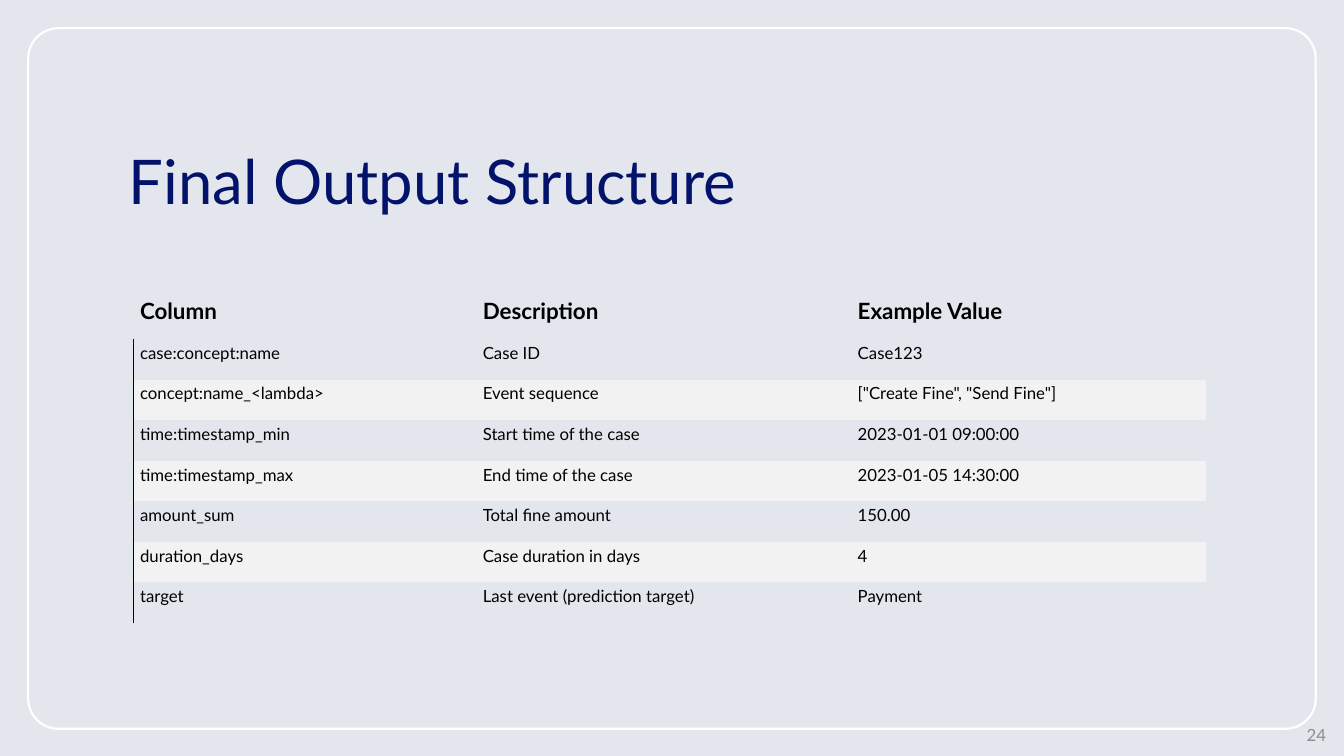
from lxml.etree import SubElement
from pptx import Presentation
from pptx.dml.color import RGBColor
from pptx.enum.shapes import MSO_SHAPE
from pptx.enum.text import MSO_ANCHOR, PP_ALIGN
from pptx.oxml.ns import qn
from pptx.util import Inches, Pt

COLORS = {
    "background": "E3E7ED",
    "frame": "FFFFFF",
    "title": "03126A",
    "number": "8C8C8C",
    "text": "000000",
    "band": "F2F2F2",
}
FONT = "Lato"
PLAIN_TABLE_STYLE = "{2D5ABB26-0587-4C30-8999-92F81FD0307C}"

HEADINGS = ("Column", "Description", "Example Value")
FIELDS = (
    ("case:concept:name", "Case ID", "Case123"),
    ("concept:name_<lambda>", "Event sequence", '["Create Fine", "Send Fine"]'),
    ("time:timestamp_min", "Start time of the case", "2023-01-01 09:00:00"),
    ("time:timestamp_max", "End time of the case", "2023-01-05 14:30:00"),
    ("amount_sum", "Total fine amount", "150.00"),
    ("duration_days", "Case duration in days", "4"),
    ("target", "Last event (prediction target)", "Payment"),
)


def color(name):
    return RGBColor.from_string(COLORS[name])


class SlideBuilder:
    """Draws on one slide; lengths are percentages of its width and height."""

    def __init__(self, presentation):
        self.width = presentation.slide_width
        self.height = presentation.slide_height
        self.slide = presentation.slides.add_slide(presentation.slide_layouts[6])
        fill = self.slide.background.fill
        fill.solid()
        fill.fore_color.rgb = color("background")

    def across(self, share):
        return round(self.width * share / 100)

    def down(self, share):
        return round(self.height * share / 100)

    def box(self, left, top, width, height):
        return self.across(left), self.down(top), self.across(width), self.down(height)

    def style(self, paragraph, size, color_name, bold=False):
        font = paragraph.font
        font.name, font.size, font.bold = FONT, Pt(size), bold
        font.color.rgb = color(color_name)

    def frame(self, *place):
        shape = self.slide.shapes.add_shape(MSO_SHAPE.ROUNDED_RECTANGLE, *self.box(*place))
        shape.adjustments[0] = 0.043
        shape.shadow.inherit = False
        shape.fill.background()
        shape.line.color.rgb = color("frame")
        shape.line.width = Pt(1.5)

    def text(self, words, place, size, color_name, anchor, align=PP_ALIGN.LEFT):
        text_frame = self.slide.shapes.add_textbox(*self.box(*place)).text_frame
        text_frame.word_wrap = True
        text_frame.vertical_anchor = anchor
        paragraph = text_frame.paragraphs[0]
        paragraph.text = words
        paragraph.alignment = align
        paragraph.line_spacing = 0.9
        self.style(paragraph, size, color_name)

    def table(self, left, top, column_widths, heading_height, row_height):
        row_heights = [heading_height] + [row_height] * len(FIELDS)
        place = self.box(left, top, sum(column_widths), sum(row_heights))
        table = self.slide.shapes.add_table(
            len(row_heights), len(column_widths), *place).table
        table.first_row = table.horz_banding = False
        table._tbl.tblPr.find(qn("a:tableStyleId")).text = PLAIN_TABLE_STYLE
        for column, width in zip(table.columns, column_widths):
            column.width = self.across(width)
        for row, height in zip(table.rows, row_heights):
            row.height = self.down(height)
        for row_index, values in enumerate((HEADINGS, *FIELDS)):
            for column_index, value in enumerate(values):
                cell = table.cell(row_index, column_index)
                self.fill_cell(cell, value, row_index)
                if row_index and column_index == 0:
                    self.left_border(cell)

    def fill_cell(self, cell, value, row_index):
        heading = row_index == 0
        cell.margin_left, cell.margin_top = Inches(0.07), Inches(0.02)
        cell.margin_right, cell.margin_bottom = Inches(0.1), Inches(0.15)
        cell.vertical_anchor = MSO_ANCHOR.BOTTOM if heading else MSO_ANCHOR.MIDDLE
        if row_index % 2 or heading:
            cell.fill.background()
        else:
            cell.fill.solid()
            cell.fill.fore_color.rgb = color("band")
        cell.text = value
        self.style(cell.text_frame.paragraphs[0], 16 if heading else 12, "text", heading)

    def left_border(self, cell):
        properties = cell._tc.get_or_add_tcPr()
        border = SubElement(properties, qn("a:lnL"), w=str(Pt(0.75)))
        SubElement(SubElement(border, qn("a:solidFill")), qn("a:srgbClr"),
                   val=COLORS["text"])
        properties.insert(0, border)  # borders come before the fill


def main():
    presentation = Presentation()
    presentation.slide_width, presentation.slide_height = Inches(13.33), Inches(7.5)
    builder = SlideBuilder(presentation)
    builder.frame(2.1, 3.73, 95.8, 92.67)
    builder.text("Final Output Structure", (8.85, 5.33, 84.32, 24.13), 44, "title",
                 MSO_ANCHOR.BOTTOM)
    builder.text("24", (76.89, 95.73, 22.51, 3.33), 12, "number",
                 MSO_ANCHOR.MIDDLE, PP_ALIGN.RIGHT)
    builder.table(9.9, 38.67, (25.5, 27.9, 26.4), 6.2, 5.36)
    presentation.save("out.pptx")


if __name__ == "__main__":
    main()
